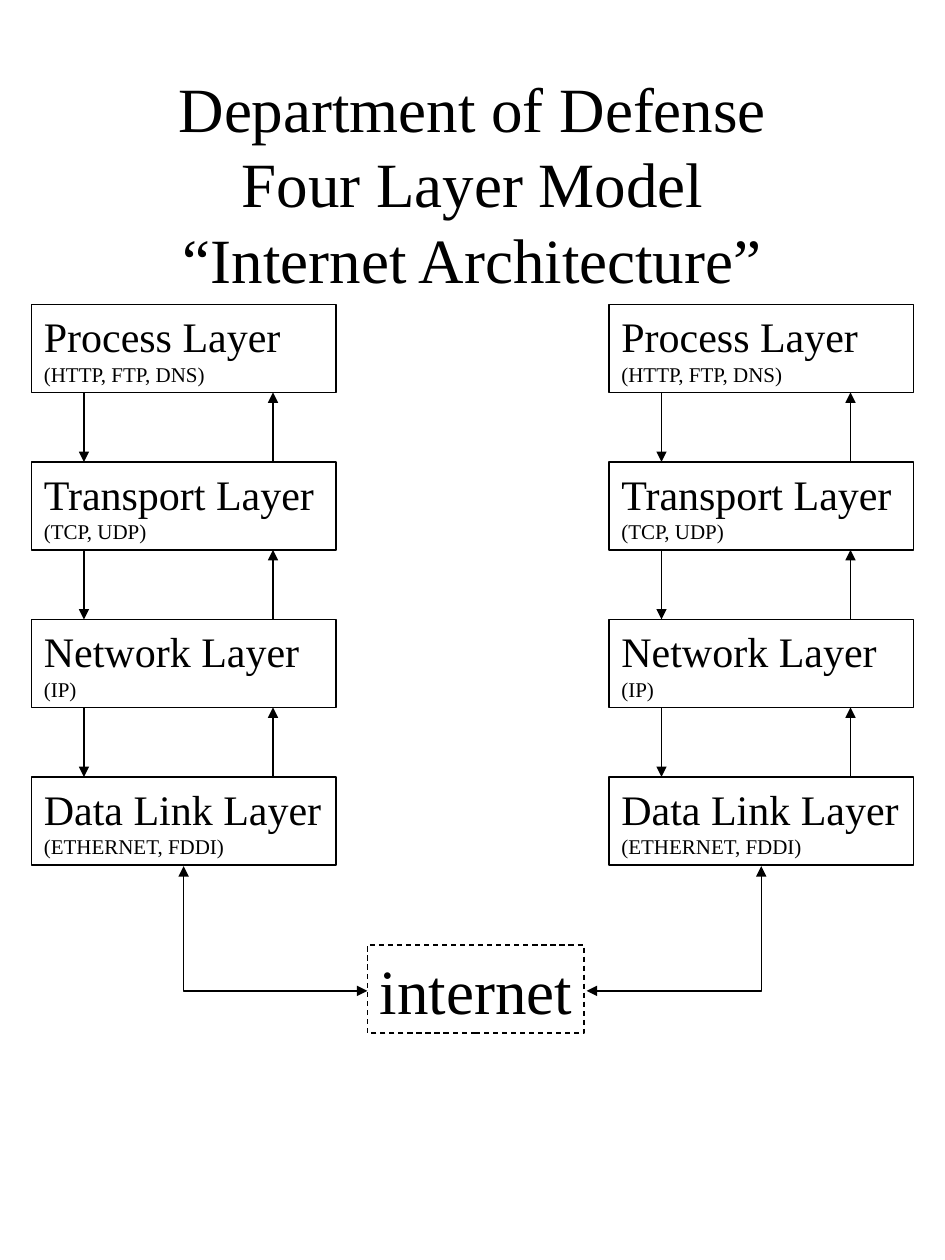
from dataclasses import dataclass

from lxml import etree
from pptx import Presentation
from pptx.dml.color import RGBColor
from pptx.enum.dml import MSO_LINE
from pptx.enum.shapes import MSO_CONNECTOR, MSO_SHAPE
from pptx.enum.text import MSO_ANCHOR, PP_ALIGN
from pptx.oxml.ns import qn
from pptx.util import Emu, Pt

RECTANGLE = MSO_SHAPE.RECTANGLE
STRAIGHT = MSO_CONNECTOR.STRAIGHT
ELBOW = MSO_CONNECTOR.ELBOW
DASH = MSO_LINE.DASH
TOP = MSO_ANCHOR.TOP
LEFT, CENTER = PP_ALIGN.LEFT, PP_ALIGN.CENTER

EMU_PER_PX = 9525


@dataclass(frozen=True)
class Theme:
    font: str = "Times New Roman"
    ink: RGBColor = RGBColor(0, 0, 0)
    paper: RGBColor = RGBColor(255, 255, 255)
    title: int = 36
    layer: int = 24
    protocols: int = 12
    stroke: float = 0.75


THEME = Theme()

TITLE = ["Department of Defense", "Four Layer Model", "“Internet Architecture”"]
LAYERS = [
    ("Process Layer", "(HTTP, FTP, DNS)"),
    ("Transport Layer", "(TCP, UDP)"),
    ("Network Layer", "(IP)"),
    ("Data Link Layer", "(ETHERNET, FDDI)"),
]

STACK_LEFTS = (24, 464)
STACK_TOP = 232
LAYER_STEP = 120
BOX_WIDTH, BOX_HEIGHT = 232, 67
DOWN_INSET, UP_INSET = 40, 184
NET_LEFT, NET_TOP, NET_WIDTH = 280, 720, 165


def px(length):
    return Emu(length * EMU_PER_PX)


def write_lines(shape, lines, align=LEFT, wrap=True):
    """Fill a shape with (text, point size) lines, one paragraph each."""
    frame = shape.text_frame
    frame.word_wrap = wrap
    frame.vertical_anchor = TOP
    for index, (text, size) in enumerate(lines):
        para = frame.add_paragraph() if index else frame.paragraphs[0]
        para.text = text
        para.alignment = align
        para.font.name = THEME.font
        para.font.size = Pt(size)
        para.font.color.rgb = THEME.ink


def style_line(line):
    line.color.rgb = THEME.ink
    line.width = Pt(THEME.stroke)


def add_title(page):
    box = page.shapes.add_textbox(px(0), px(48), px(720), px(182))
    write_lines(box, [(text, THEME.title) for text in TITLE], CENTER)


def add_box(page, left, top, width, lines, wrap=True):
    box = page.shapes.add_shape(
        RECTANGLE, px(left), px(top), px(width), px(BOX_HEIGHT))
    box.shadow.inherit = False
    box.fill.solid()
    box.fill.fore_color.rgb = THEME.paper
    style_line(box.line)
    write_lines(box, lines, wrap=wrap)
    return box


def add_arrow(page, start, end, kind=STRAIGHT, ends=("tailEnd",)):
    arrow = page.shapes.add_connector(kind, *map(px, start + end))
    style_line(arrow.line)
    properties = arrow.element.spPr
    outline = properties.find(qn("a:ln"))
    for tag in ends:
        etree.SubElement(outline, qn(f"a:{tag}"), type="triangle")
    etree.SubElement(properties, qn("a:effectLst"))
    return arrow


def add_corner_arrow(page, start, end):
    """Join two points with one bend: first across, then up."""
    arrow = add_arrow(page, start, end, ELBOW, ("headEnd", "tailEnd"))
    arrow.element.spPr.find(qn("a:prstGeom")).set("prst", "bentConnector2")


def add_stack(page, left):
    for index, (name, protocols) in enumerate(LAYERS):
        top = STACK_TOP + index * LAYER_STEP
        add_box(page, left, top, BOX_WIDTH,
                [(name, THEME.layer), (protocols, THEME.protocols)])
        if index:
            above = top - LAYER_STEP + BOX_HEIGHT
            down, up = left + DOWN_INSET, left + UP_INSET
            add_arrow(page, (down, above), (down, top))
            add_arrow(page, (up, top), (up, above))


def add_internet(page):
    box = add_box(page, NET_LEFT, NET_TOP, NET_WIDTH,
                  [("internet", THEME.title)], wrap=False)
    box.fill.background()
    box.line.dash_style = DASH
    middle = NET_TOP + 35
    stack_bottom = STACK_TOP + (len(LAYERS) - 1) * LAYER_STEP + BOX_HEIGHT + 1
    sides = (NET_LEFT, NET_LEFT + NET_WIDTH + 2)
    for side, left in zip(sides, STACK_LEFTS):
        add_corner_arrow(page, (side, middle),
                         (left + BOX_WIDTH // 2, stack_bottom))


def main():
    deck = Presentation()
    deck.slide_width, deck.slide_height = px(720), px(960)
    page = deck.slides.add_slide(deck.slide_layouts[6])
    add_title(page)
    for left in STACK_LEFTS:
        add_stack(page, left)
    add_internet(page)
    deck.save("out.pptx")


if __name__ == "__main__":
    main()
